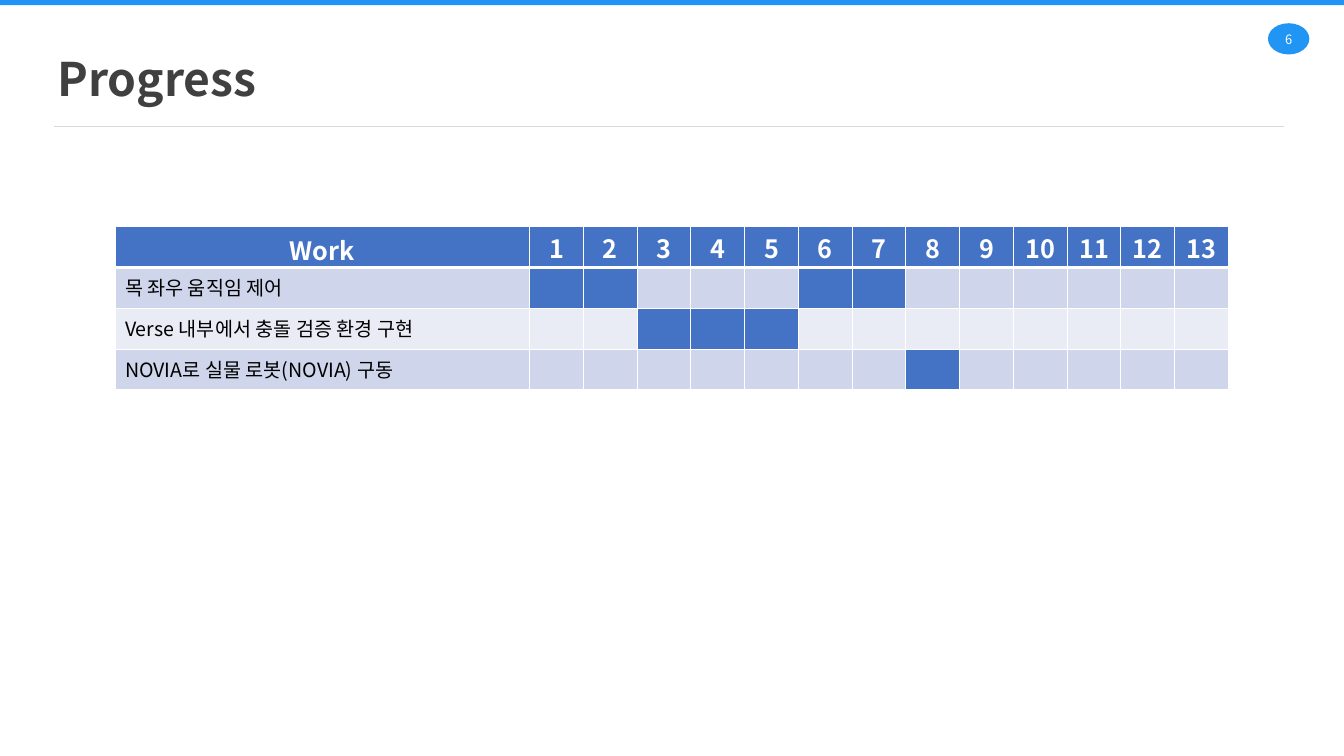
from pptx import Presentation
from pptx.dml.color import RGBColor as RGB
from pptx.enum.shapes import MSO_CONNECTOR as CONN, MSO_SHAPE as SHAPE
from pptx.enum.text import MSO_ANCHOR as ANCHOR, PP_ALIGN as ALIGN
from pptx.oxml.ns import qn
from pptx.util import Inches, Pt
from lxml.etree import SubElement

ACCENT = RGB(0x21, 0x95, 0xF3)
TITLE = RGB(0x40, 0x40, 0x40)
RULE = RGB(0xD9, 0xD9, 0xD9)
WHITE = RGB(0xFF, 0xFF, 0xFF)
BLACK = RGB(0, 0, 0)
BLUE = RGB(0x44, 0x72, 0xC4)
BANDS = RGB(0xCF, 0xD5, 0xEA), RGB(0xE9, 0xEB, 0xF5)

WEEKS = 13
TASKS = [  # work, active weeks
    ("목 좌우 움직임 제어", {1, 2, 6, 7}),
    ("Verse 내부에서 충돌 검증 환경 구현", {3, 4, 5}),
    ("NOVIA로 실물 로봇(NOVIA) 구동", {8}),
]
# Column and row sizes, percent of the slide
WORK_W, WEEK_W, ROW_H = 30.86, 4, 5.4

HEAD = {"size": Pt(18), "bold": True, "color": WHITE}
BODY = {"size": Pt(14), "bold": False, "color": BLACK}
NO_INSET = dict.fromkeys(
    ("margin_left", "margin_top", "margin_right", "margin_bottom"), 0)
WEEK_CELL = {"vertical_anchor": ANCHOR.MIDDLE, **NO_INSET}
WORK_HEAD = {"margin_top": Inches(0.04), "margin_bottom": 0}


def apply(obj, values):
    for name, value in values.items():
        setattr(obj, name, value)


class Deck:
    """Holds the style and the current slide; places are percent of its size."""
    font = "Noto Sans CJK KR"

    def __init__(self):
        self.prs = Presentation()
        self.prs.slide_width, self.prs.slide_height = Inches(13.33), Inches(7.5)
        self.shapes = self.prs.slides.add_slide(self.prs.slide_layouts[6]).shapes

    def x(self, share):
        return round(self.prs.slide_width * share / 100)

    def y(self, share):
        return round(self.prs.slide_height * share / 100)

    def box(self, left, top, width, height):
        return self.x(left), self.y(top), self.x(width), self.y(height)

    def add_run(self, tf, text, style, align=ALIGN.LEFT):
        p = tf.paragraphs[0]
        p.alignment = align
        r = p.add_run()
        r.text = text
        values = dict(style)
        r.font.color.rgb = values.pop("color")
        apply(r.font, {"name": self.font, **values})
        SubElement(r.font._element, qn("a:ea"), typeface=self.font)

    def shape(self, kind, place, fill):
        sp = self.shapes.add_shape(kind, *self.box(*place))
        sp.shadow.inherit = False
        sp.fill.solid()
        sp.fill.fore_color.rgb = fill
        sp.line.fill.background()

    def text(self, place, text, style, align=ALIGN.LEFT, **frame):
        tf = self.shapes.add_textbox(*self.box(*place)).text_frame
        apply(tf, {"word_wrap": True, **frame})
        self.add_run(tf, text, style, align)

    def line(self, left, right, y, color):
        cn = self.shapes.add_connector(
            CONN.STRAIGHT, self.x(left), self.y(y), self.x(right), self.y(y))
        cn.line.color.rgb, cn.line.width = color, Pt(1)
        SubElement(cn._element.spPr, qn("a:effectLst"))

    def table(self, left, top, widths, height, rows):
        place = self.box(left, top, sum(widths), height * rows)
        table = self.shapes.add_table(rows, len(widths), *place).table
        for col, width in zip(table.columns, widths):
            col.width = self.x(width)
        for row in table.rows:
            row.height = self.y(height)
        return table

    def cell(self, cell, fill, bottom=1, top=1, **frame):
        apply(cell, frame)
        tcPr = cell._tc.get_or_add_tcPr()
        for side, width in zip("LRTB", (1, 1, top, bottom)):
            ln = SubElement(tcPr, qn(f"a:ln{side}"), w=str(int(Pt(width))))
            paint = SubElement(ln, qn("a:solidFill"))
            SubElement(paint, qn("a:srgbClr"), val=str(WHITE))
        cell.fill.solid()
        cell.fill.fore_color.rgb = fill


deck = Deck()

# Top bar and page number
deck.shape(SHAPE.OVAL, (94.34, 3.07, 3.08, 4.13), ACCENT)
deck.text((94.12, 4.13, 3.53, 2), "6", {"size": Pt(9.2), "color": WHITE},
          ALIGN.CENTER, **NO_INSET)
deck.shape(SHAPE.RECTANGLE, (0, 0, 100, 0.67), ACCENT)

# Title
deck.text((3.53, 6.27, 63.54, 8.13), "Progress",
          {"size": Pt(33), "bold": True, "color": TITLE},
          vertical_anchor=ANCHOR.MIDDLE)

# Schedule header
table = deck.table(8.55, 30, [WORK_W] + [WEEK_W] * WEEKS, ROW_H, len(TASKS) + 1)
for week in range(WEEKS + 1):
    cell = table.cell(0, week)
    deck.cell(cell, BLUE, bottom=3, **(WEEK_CELL if week else WORK_HEAD))
    deck.add_run(cell.text_frame, str(week or "Work"), HEAD, ALIGN.CENTER)

# Schedule rows
for row, (work, active) in enumerate(TASKS, 1):
    band, top = BANDS[(row - 1) % 2], 3 if row == 1 else 1
    deck.cell(table.cell(row, 0), band, top=top)
    deck.add_run(table.cell(row, 0).text_frame, work, BODY)
    for week in range(1, WEEKS + 1):
        deck.cell(table.cell(row, week), BLUE if week in active else band,
                  top=top, **WEEK_CELL)

# Rule under the title
deck.line(4.05, 95.57, 16.73, RULE)

deck.prs.save("out.pptx")
